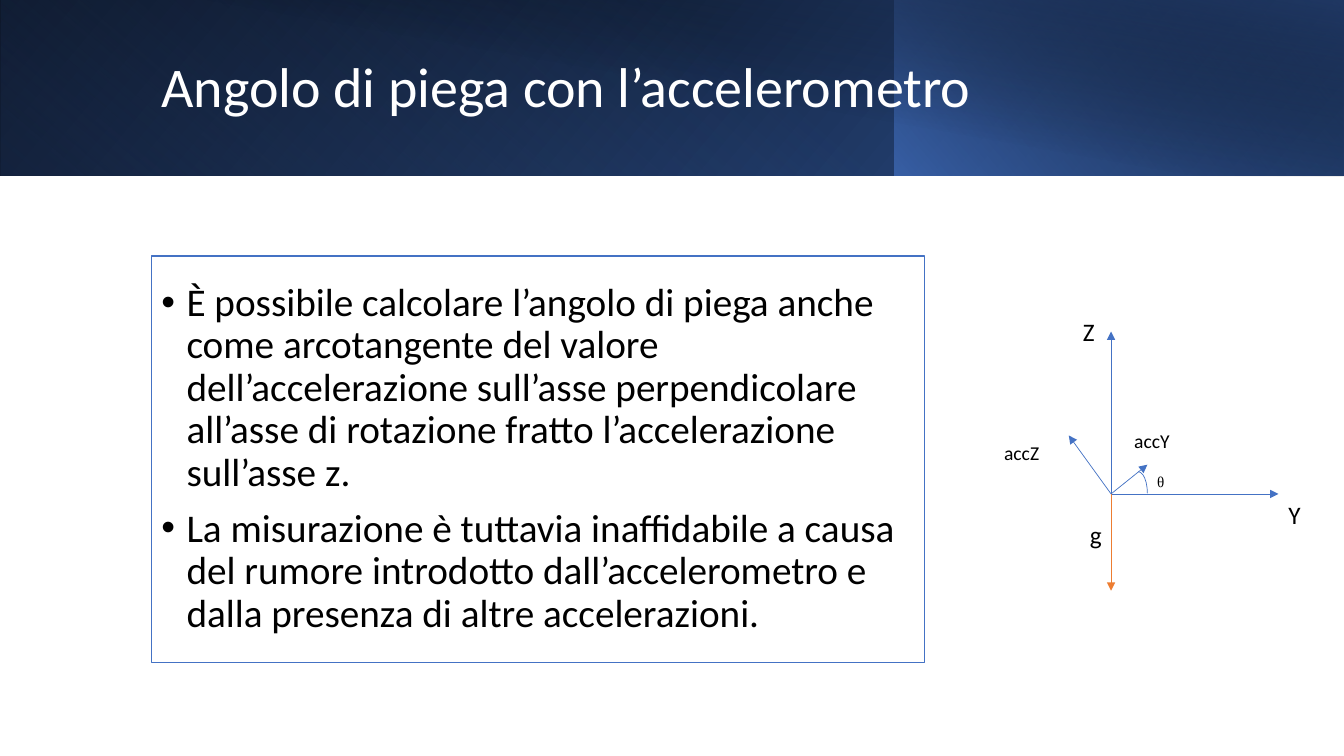
from dataclasses import dataclass

from lxml import etree
from pptx import Presentation
from pptx.dml.color import RGBColor
from pptx.enum import shapes, text
from pptx.oxml import parse_xml
from pptx.oxml.ns import nsdecls, qn
from pptx.util import Inches, Length, Pt


@dataclass(frozen=True)
class Theme:
    font: str = "Calibri"
    symbol_font: str = "Times New Roman"
    black: str = "000000"
    white: str = "FFFFFF"
    blue: str = "4472C4"
    deep_blue: str = "2F5597"
    navy: str = "203864"
    orange: str = "ED7D31"
    title_size: int = 40
    body_size: int = 28
    axis_size: int = 18
    component_size: int = 14
    thin_line: float = 0.5
    frame_line: float = 1


@dataclass(frozen=True)
class Stop:
    position: int
    color: str
    opacity: int = 100


@dataclass(frozen=True)
class Band:
    left: float
    width: float
    height: float
    angle: int
    stops: tuple[Stop, Stop]
    flipped: bool = True
    rotation: int = 0


@dataclass(frozen=True)
class Vector:
    tip_x: float
    tip_y: float
    color: str


@dataclass(frozen=True)
class Label:
    words: str
    left: float
    top: float
    width: float
    height: float
    size: int
    font: str


THEME = Theme()
ORIGIN = (11.02, 4.9)
TITLE = "Angolo di piega con l’accelerometro"
POINTS = (
    "È possibile calcolare l’angolo di piega anche come arcotangente del valore "
    "dell’accelerazione sull’asse perpendicolare all’asse di rotazione fratto "
    "l’accelerazione sull’asse z.",
    "La misurazione è tuttavia inaffidabile a causa del rumore introdotto "
    "dall’accelerometro e dalla presenza di altre accelerazioni.",
)
BANDS = (
    Band(0, 13.33, 1.74, 140, (Stop(0, THEME.black), Stop(100, THEME.deep_blue))),
    Band(0, 8.88, 1.74, 230, (Stop(20, THEME.blue, 0), Stop(100, THEME.navy, 55)), rotation=180),
    Band(8.87, 4.46, 1.74, 220, (Stop(0, THEME.blue, 66), Stop(100, THEME.black, 30))),
    Band(0.5, 12.83, 1.75, 280, (Stop(50, THEME.black, 0), Stop(99, THEME.navy, 52)), flipped=False),
)
VECTORS = (
    Vector(11.02, 3.29, THEME.blue),
    Vector(12.68, 4.9, THEME.blue),
    Vector(11.02, 5.86, THEME.orange),
    Vector(10.6, 4.32, THEME.blue),
    Vector(11.38, 4.61, THEME.blue),
)
LABELS = (
    Label("Z", 10.74, 3.09, 0.05, 0.4, THEME.axis_size, THEME.font),
    Label("Y", 12.68, 4.9, 0.22, 0.4, THEME.axis_size, THEME.font),
    Label("g", 10.71, 5.1, 0.49, 0.4, THEME.axis_size, THEME.font),
    Label("accZ", 9.86, 4.33, 0.82, 0.34, THEME.component_size, THEME.font),
    Label("accY", 11.15, 4.21, 0.82, 0.34, THEME.component_size, THEME.font),
    Label("ᶿ", 11.38, 4.61, 0.49, 0.4, THEME.axis_size, THEME.symbol_font),
)


def box(*lengths: float) -> list[Length]:
    return [Inches(length) for length in lengths]


def place(shape, *lengths: float) -> None:
    for name, value in zip(("left", "top", "width", "height"), box(*lengths)):
        setattr(shape, name, value)


def style_line(line, color: str, width: float) -> None:
    line.color.rgb = RGBColor.from_string(color)
    line.width = Pt(width)


def write(paragraph, words: str, font: str, size: int, color: str, **formats) -> None:
    """Add one run and apply the paragraph formats."""
    run = paragraph.add_run()
    run.text = words
    for name, value in {"name": font, "size": Pt(size), "bold": False}.items():
        setattr(run.font, name, value)
    run.font.color.rgb = RGBColor.from_string(color)
    for name, value in {"alignment": text.PP_ALIGN.LEFT, **formats}.items():
        setattr(paragraph, name, value)


def set_frame(frame, **formats) -> None:
    for name, value in {"word_wrap": True, **formats}.items():
        setattr(frame, name, value)


def add_band(slide, band: Band) -> None:
    shape = slide.shapes.add_shape(
        shapes.MSO_SHAPE.RECTANGLE, *box(band.left, 0, band.width, band.height)
    )
    shape.shadow.inherit = False
    shape.line.fill.background()
    shape.rotation = band.rotation
    properties = shape.element.spPr
    if band.flipped:
        properties.find(qn("a:xfrm")).set("flipH", "1")
    stops = "".join(
        f'<a:gs pos="{stop.position * 1000}"><a:srgbClr val="{stop.color}">'
        f'<a:alpha val="{stop.opacity * 1000}"/></a:srgbClr></a:gs>'
        for stop in band.stops
    )
    gradient = parse_xml(
        f'<a:gradFill {nsdecls("a")} rotWithShape="1"><a:gsLst>{stops}</a:gsLst>'
        f'<a:lin ang="{band.angle * 60000}" scaled="0"/></a:gradFill>'
    )
    properties.find(qn("a:prstGeom")).addnext(gradient)


def add_bullet(paragraph) -> None:
    properties = paragraph._p.get_or_add_pPr()
    for name, inches in {"marL": 0.25, "indent": -0.25}.items():
        properties.set(name, str(Inches(inches)))
    etree.SubElement(properties, qn("a:buFont"), typeface="Arial")
    etree.SubElement(properties, qn("a:buChar"), char="•")


def fill_placeholders(slide) -> None:
    title, body = slide.placeholders
    for shape in (title, body):
        shape.element.getparent().append(shape.element)
        set_frame(
            shape.text_frame,
            vertical_anchor=text.MSO_ANCHOR.MIDDLE,
            auto_size=text.MSO_AUTO_SIZE.NONE,
        )
    place(title, 1.5, 0.32, 10.82, 1.13)
    write(title.text_frame.paragraphs[0], TITLE, THEME.font, THEME.title_size,
          THEME.white, line_spacing=0.9)

    place(body, 1.5, 2.54, 7.67, 4.03)
    body.fill.solid()
    body.fill.fore_color.rgb = RGBColor.from_string(THEME.white)
    style_line(body.line, THEME.blue, THEME.frame_line)
    frame = body.text_frame
    for index, point in enumerate(POINTS):
        paragraph = frame.add_paragraph() if index else frame.paragraphs[0]
        write(paragraph, point, THEME.font, THEME.body_size, THEME.black,
              line_spacing=0.9, space_before=Pt(10))
        add_bullet(paragraph)


def add_vector(slide, vector: Vector) -> None:
    arrow = slide.shapes.add_connector(
        shapes.MSO_CONNECTOR.STRAIGHT, *box(*ORIGIN, vector.tip_x, vector.tip_y)
    )
    style_line(arrow.line, vector.color, THEME.thin_line)
    etree.SubElement(arrow.line._get_or_add_ln(), qn("a:tailEnd"), type="triangle")
    etree.SubElement(arrow.element.spPr, qn("a:effectLst"))


def add_angle_arc(slide) -> None:
    arc = slide.shapes.add_shape(shapes.MSO_SHAPE.ARC, *box(11.2, 4.68, 0.18, 0.43))
    arc.shadow.inherit = False
    arc.fill.background()
    style_line(arc.line, THEME.blue, THEME.thin_line)


def add_label(slide, label: Label) -> None:
    shape = slide.shapes.add_textbox(*box(label.left, label.top, label.width, label.height))
    set_frame(shape.text_frame, auto_size=text.MSO_AUTO_SIZE.SHAPE_TO_FIT_TEXT)
    write(shape.text_frame.paragraphs[0], label.words, label.font, label.size, THEME.black)


def main() -> None:
    presentation = Presentation()
    presentation.slide_width, presentation.slide_height = box(13.33, 7.5)
    slide = presentation.slides.add_slide(presentation.slide_layouts[1])
    for band in BANDS:
        add_band(slide, band)
    fill_placeholders(slide)
    for vector in VECTORS:
        add_vector(slide, vector)
    add_angle_arc(slide)
    for label in LABELS:
        add_label(slide, label)
    presentation.save("out.pptx")


if __name__ == "__main__":
    main()
